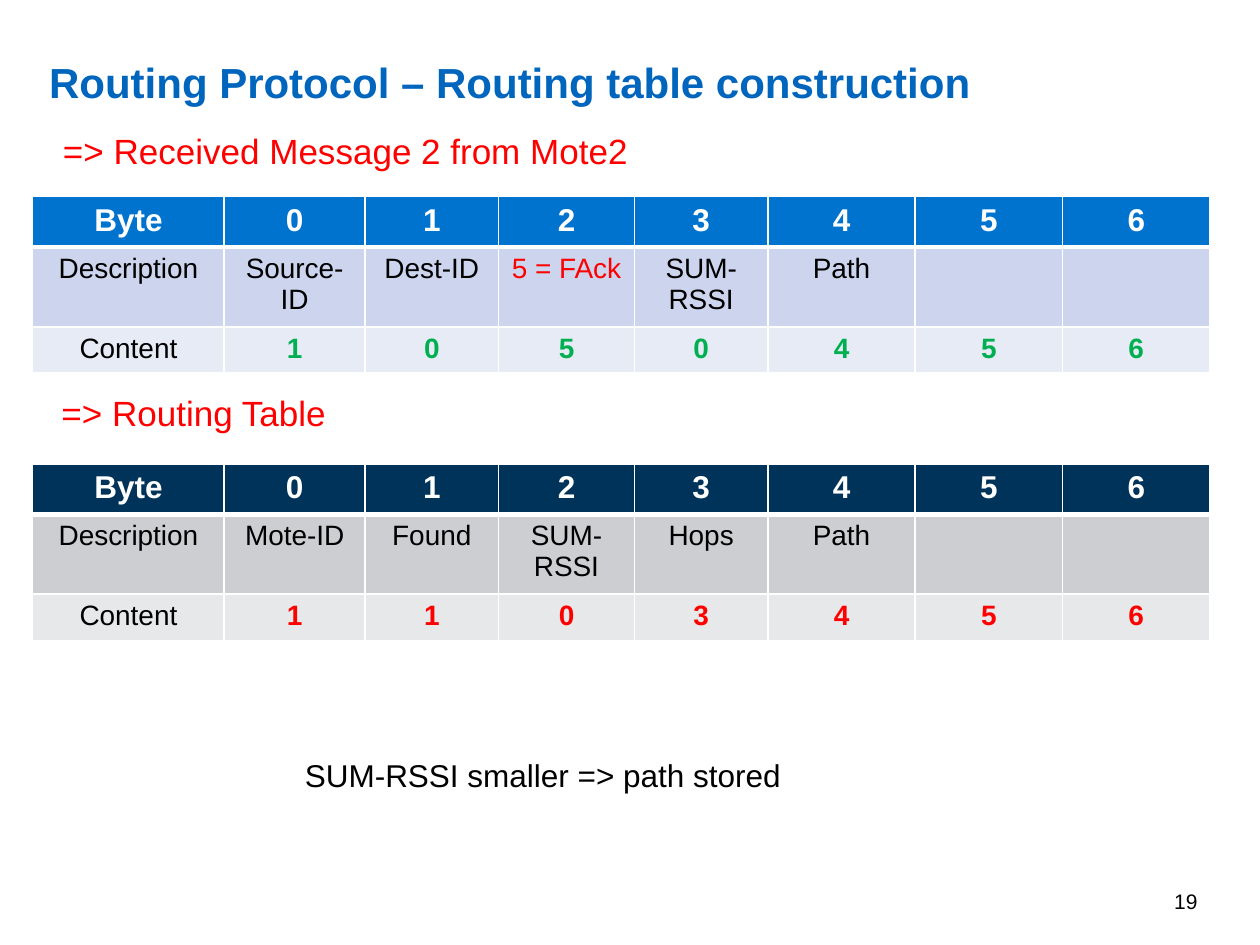
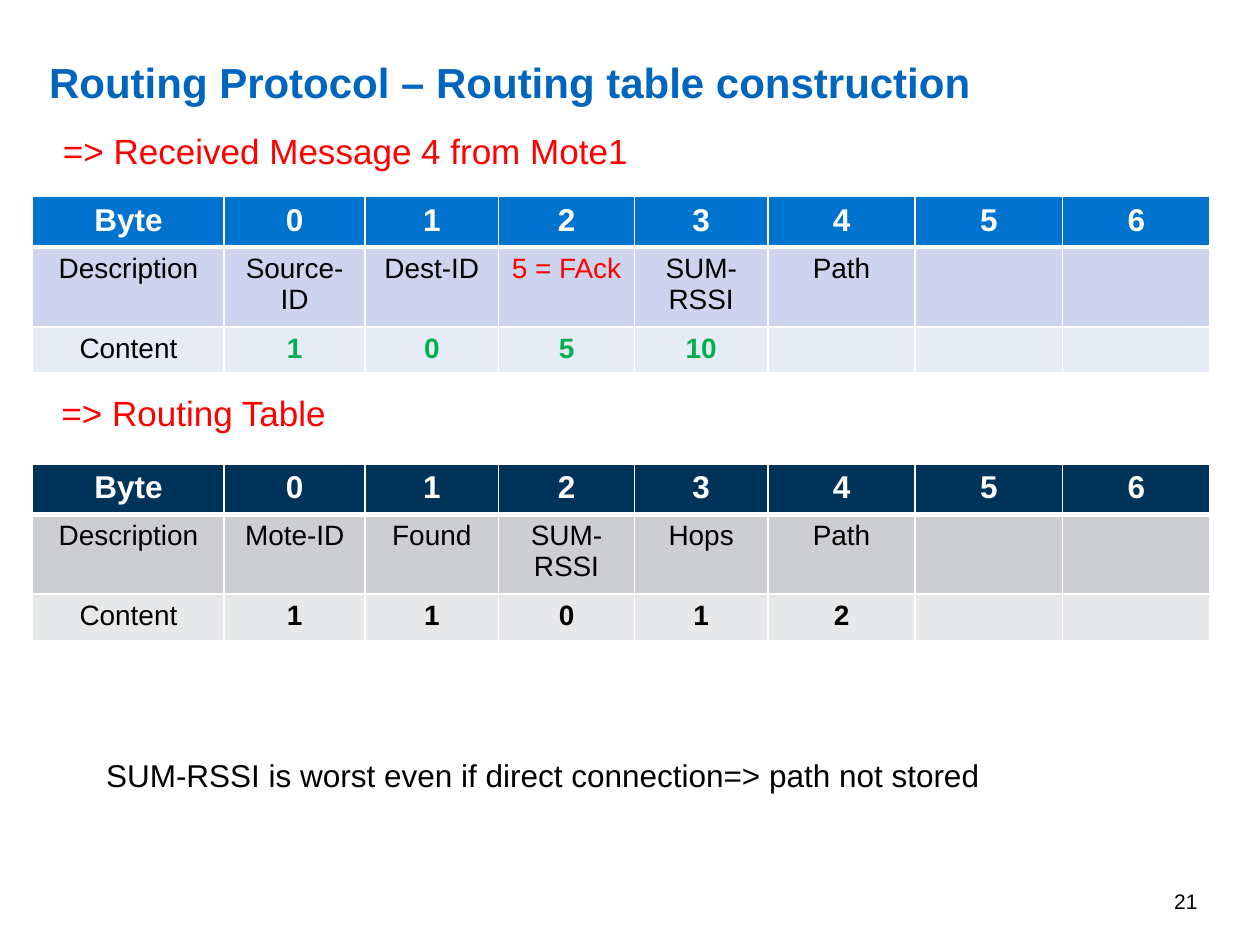
from lxml.etree import SubElement
from pptx import Presentation
from pptx.dml.color import RGBColor as RGB
from pptx.enum.text import MSO_ANCHOR as Anchor, PP_ALIGN as Align
from pptx.oxml.ns import qn
from pptx.util import Cm, Pt

COLORS = {
    "title": "0065BD", "alert": "FF0000", "value": "00B050",
    "text": "000000", "white": "FFFFFF",
}
MESSAGE_FILLS = ["0073CF", "CCD5ED", "E7EBF6"]
ROUTING_FILLS = ["003359", "CCCED1", "E7E8EA"]

BYTES = ["Byte", "0", "1", "2", "3", "4", "5", "6"]
MESSAGE_FIELDS = ["Description", "Source-ID", "Dest-ID", "5 = FAck", "SUM-RSSI", "Path", "", ""]
ROUTING_FIELDS = ["Description", "Mote-ID", "Found", "SUM-RSSI", "Hops", "Path", "", ""]

COLUMN_WIDTHS = [3.86, 2.84, 2.69, 2.74, 2.69, 2.97, 2.97, 2.97]
ROW_HEIGHTS = [0.99, 1.61, 0.93]

STEPS = [
    {
        "number": "19",
        "heading": "=> Received Message 2 from Mote2",
        "message": ["1", "0", "5", "0", "4", "5", "6"],
        "routing": ["1", "1", "0", "3", "4", "5", "6"],
        "routing_color": "alert",
        "note": ("SUM-RSSI smaller => path stored", 5.84, 10.21),
    },
    {
        "number": "21",
        "heading": "=> Received Message 4 from Mote1",
        "message": ["1", "0", "5", "10", "", "", ""],
        "routing": ["1", "1", "0", "1", "2", "", ""],
        "routing_color": "text",
        "note": ("SUM-RSSI is worst even if direct connection=> path not stored", 1.8, 18.29),
    },
]


def write(frame, text, size, color, align=Align.LEFT, bold=False):
    frame.text = text
    paragraph = frame.paragraphs[0]
    paragraph.alignment = align
    font = paragraph.font
    font.name, font.size, font.bold = "Arial", Pt(size), bold
    font.color.rgb = RGB.from_string(COLORS[color])


def add_borders(cell, row):
    """Draw white cell borders, thicker between the header and the body."""
    widths = {"a:lnL": 1, "a:lnR": 1, "a:lnT": 3 if row == 1 else 1, "a:lnB": 3 if row == 0 else 1}
    properties = cell._tc.get_or_add_tcPr()
    for side, width in widths.items():
        line = SubElement(properties, qn(side), w=str(Pt(width)))
        fill = SubElement(line, qn("a:solidFill"))
        SubElement(fill, qn("a:srgbClr"), val=COLORS["white"])


prs = Presentation()
prs.slide_width, prs.slide_height = Cm(25.4), Cm(19.05)

for step in STEPS:
    slide = prs.slides.add_slide(prs.slide_layouts[5])

    title = slide.shapes.title
    title.left, title.top, title.width, title.height = Cm(0.99), Cm(1.02), Cm(19.91), Cm(0.99)
    frame = title.text_frame
    frame.margin_left = frame.margin_right = frame.margin_top = frame.margin_bottom = 0
    frame.vertical_anchor = Anchor.MIDDLE
    write(frame, "Routing Protocol – Routing table construction", 24, "title", bold=True)
    frame.paragraphs[0].line_spacing = 1.25

    note, note_left, note_width = step["note"]
    labels = [
        (step["heading"], 1.02, 2.49, 11.99, 1.12, 20, "alert", Align.LEFT),
        ("=> Routing Table", 0.99, 7.77, 5.89, 1.12, 20, "alert", Align.LEFT),
        (note, note_left, 15.11, note_width, 1.02, 18, "text", Align.CENTER),
        (step["number"], 18.47, 17.65, 5.92, 1.02, 12, "text", Align.RIGHT),
    ]
    for text, left, top, width, height, size, color, align in labels:
        label = slide.shapes.add_textbox(Cm(left), Cm(top), Cm(width), Cm(height))
        is_number = text == step["number"]
        label.text_frame.word_wrap = is_number
        label.text_frame.vertical_anchor = Anchor.MIDDLE if is_number else Anchor.TOP
        write(label.text_frame, text, size, color, align)

    tables = [
        (3.96, MESSAGE_FIELDS, step["message"], MESSAGE_FILLS, "value"),
        (9.35, ROUTING_FIELDS, step["routing"], ROUTING_FILLS, step["routing_color"]),
    ]
    for top, fields, contents, fills, content_color in tables:
        rows = [BYTES, fields, ["Content", *contents]]
        table = slide.shapes.add_table(
            len(rows), len(BYTES), Cm(0.66), Cm(top),
            Cm(sum(COLUMN_WIDTHS)), Cm(sum(ROW_HEIGHTS))).table
        for column, width in zip(table.columns, COLUMN_WIDTHS):
            column.width = Cm(width)
        for r, values in enumerate(rows):
            table.rows[r].height = Cm(ROW_HEIGHTS[r])
            for c, value in enumerate(values):
                color = "white" if r == 0 else "text"
                if r == 2 and c > 0:
                    color = content_color
                elif value == "5 = FAck":
                    color = "alert"
                cell = table.cell(r, c)
                bold = r == 0 or (r == 2 and c > 0)
                write(cell.text_frame, value, 18 if r == 0 else 16, color, Align.CENTER, bold)
                add_borders(cell, r)
                cell.fill.solid()
                cell.fill.fore_color.rgb = RGB.from_string(fills[r])

prs.save("out.pptx")
